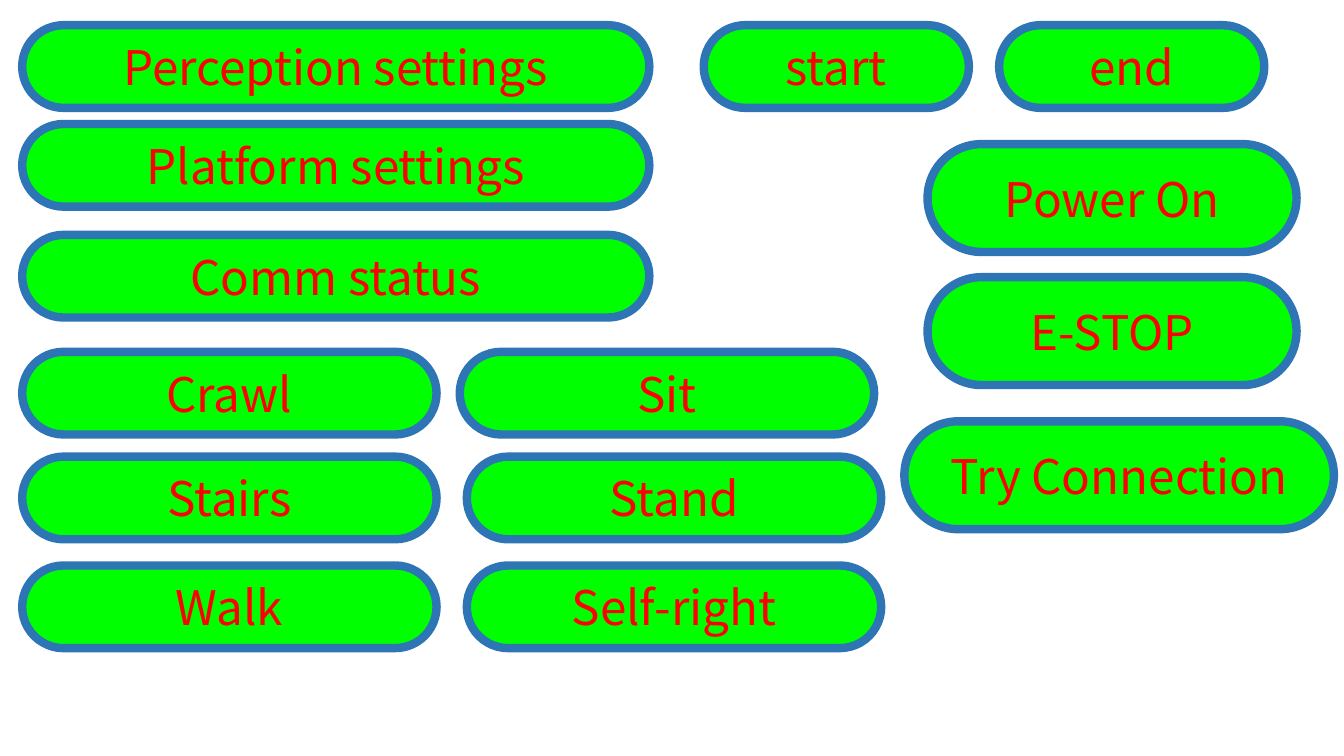
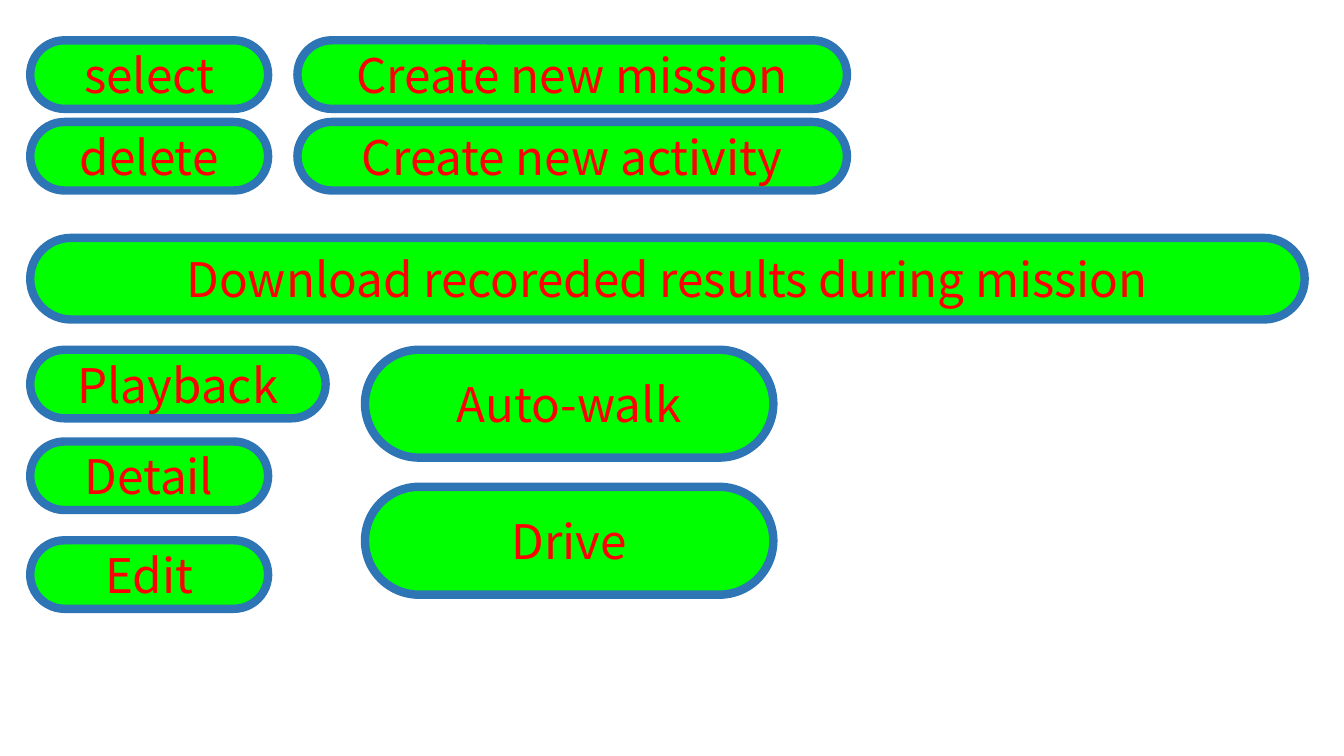
"""Build two slides of pill-shaped robot control buttons."""
from dataclasses import dataclass

from pptx import Presentation
from pptx.dml.color import RGBColor as RGB
from pptx.enum.shapes import MSO_SHAPE as Shape
from pptx.enum.text import MSO_ANCHOR as Anchor, PP_ALIGN as Align
from pptx.util import Inches, Pt


@dataclass(frozen=True)
class Theme:
    fill: RGB = RGB(0x00, 0xFF, 0x00)
    edge: RGB = RGB(0x2E, 0x75, 0xB6)
    ink: RGB = RGB(0xFF, 0x00, 0x00)
    font: str = "Noto Sans CJK KR"
    size: int = 34
    line: int = 6


@dataclass(frozen=True)
class Group:
    left: float
    width: float
    height: float
    tops: tuple
    labels: tuple
    step: float = 0


THEME = Theme()
SMALL, MID, TALL = 0.68, 0.82, 1.07
GAITS = (3.49, 4.53, 5.61)
PAIR = (0.4, 1.21)

CONTROL = [
    Group(0.22, 6.22, MID, (0.25, 1.23, 2.33),
          ("Perception settings", "Platform settings", "Comm status")),
    Group(0.22, 4.11, MID, GAITS, ("Crawl", "Stairs", "Walk")),
    Group(4.56, 4.11, MID, GAITS[:1], ("Sit",)),
    Group(4.63, 4.11, MID, GAITS[1:], ("Stand", "Self-right")),
    Group(6.98, 2.63, MID, (0.25, 0.25), ("start", "end"), step=2.93),
    Group(9.2, 3.66, TALL, (1.43, 2.75), ("Power On", "E-STOP")),
    Group(8.97, 4.26, TALL, (4.18,), ("Try Connection",)),
]
MISSION = [
    Group(0.3, 2.36, SMALL, PAIR, ("select", "delete")),
    Group(2.95, 5.45, SMALL, PAIR,
          ("Create new mission", "Create new activity")),
    Group(0.3, 12.64, 0.81, (2.36,),
          ("Download recoreded results during mission",)),
    Group(0.3, 2.93, SMALL, (3.47,), ("Playback",)),
    Group(0.3, 2.36, SMALL, (4.38, 5.36), ("Detail", "Edit")),
    Group(3.62, 4.05, TALL, (3.47, 4.83), ("Auto-walk", "Drive")),
]


def add_pill(slide, label, *box):
    """Draw one labelled button; box is left, top, width, height."""
    pill = slide.shapes.add_shape(Shape.ROUNDED_RECTANGLE, *map(Inches, box))
    pill.adjustments[0] = 0.5
    pill.shadow.inherit = False
    pill.fill.solid()
    pill.fill.fore_color.rgb = THEME.fill
    pill.line.color.rgb = THEME.edge
    pill.line.width = Pt(THEME.line)
    frame = pill.text_frame
    frame.text = label
    frame.word_wrap = True
    frame.vertical_anchor = Anchor.MIDDLE
    para = frame.paragraphs[0]
    para.alignment = Align.CENTER
    font = para.runs[0].font
    font.name = THEME.font
    font.size = Pt(THEME.size)
    font.color.rgb = THEME.ink


def add_page(deck, groups):
    """Add a blank slide and place its groups of buttons."""
    slide = deck.slides.add_slide(deck.slide_layouts[6])
    for group in groups:
        for col, (label, top) in enumerate(zip(group.labels, group.tops)):
            left = group.left + col * group.step
            add_pill(slide, label, left, top, group.width, group.height)


def main():
    """Build and save the deck."""
    deck = Presentation()
    deck.slide_width, deck.slide_height = Inches(13.33), Inches(7.5)
    for groups in (CONTROL, MISSION):
        add_page(deck, groups)
    deck.save("out.pptx")


if __name__ == "__main__":
    main()
